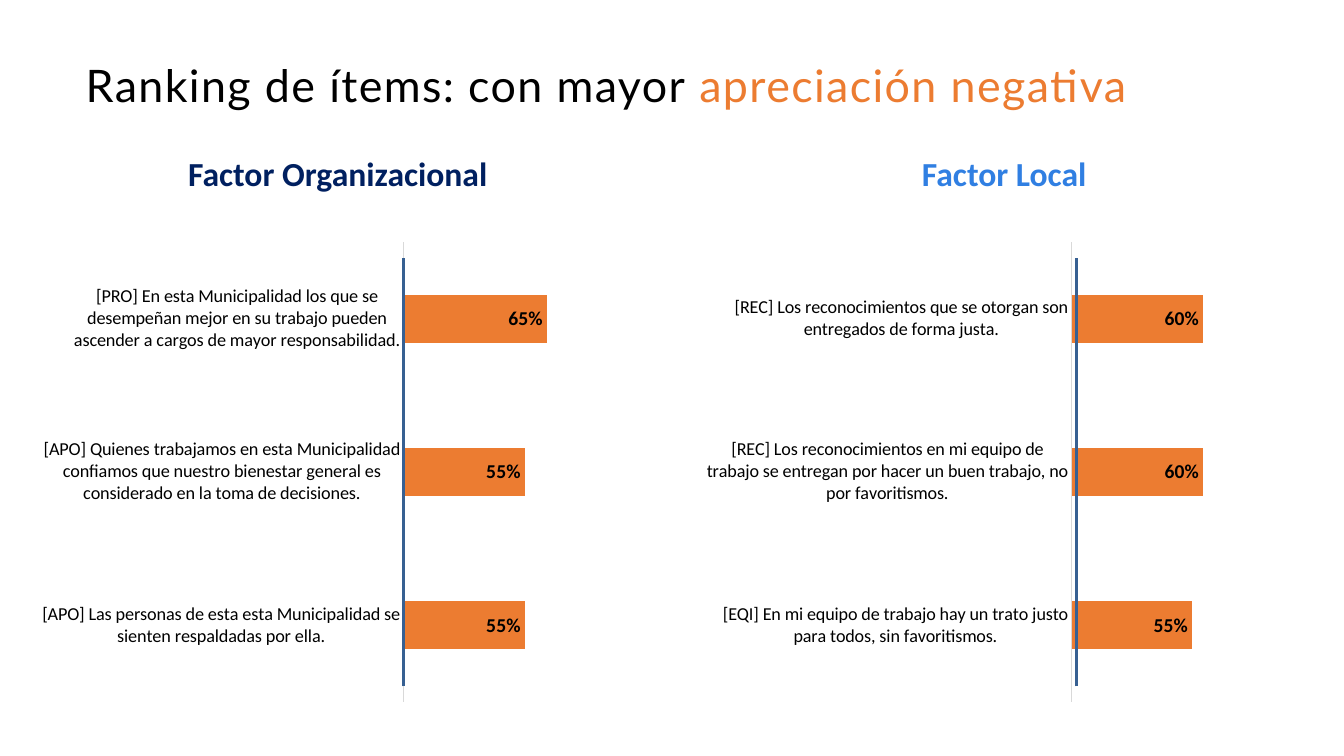
from dataclasses import dataclass

from lxml import etree
from pptx import Presentation
from pptx.chart.data import CategoryChartData
from pptx.dml.color import RGBColor
from pptx.enum.chart import XL_CHART_TYPE as ChartType
from pptx.enum.chart import XL_LABEL_POSITION as LabelPosition
from pptx.enum.chart import XL_TICK_LABEL_POSITION as TickLabelPosition
from pptx.enum.chart import XL_TICK_MARK as TickMark
from pptx.enum.shapes import MSO_CONNECTOR as Connector
from pptx.enum.text import MSO_ANCHOR as Anchor
from pptx.enum.text import MSO_AUTO_SIZE as AutoSize
from pptx.enum.text import PP_ALIGN as Align
from pptx.oxml import parse_xml
from pptx.oxml.ns import nsdecls, qn
from pptx.util import Inches, Pt


@dataclass(frozen=True)
class Theme:
    """Colours, fonts and type sizes of the slide."""
    black: str = "000000"
    orange: str = "EC7C31"
    navy: str = "002060"
    blue: str = "307FE2"
    axis: str = "D9D9D9"
    divider: str = "376092"
    title_font: str = "Lato"
    body_font: str = "Calibri"
    title_size: int = 32
    heading_size: int = 24
    value_size: int = 14
    category_size: int = 13
    chart_size: int = 10


THEME = Theme()

FACTORS = [
    {
        "heading": "Factor Organizacional",
        "color": THEME.navy,
        "heading_left": 0.83,
        "chart_left": 0.4,
        "divider_x": 4,
        "items": [
            ("[APO] Las personas de esta esta Municipalidad se sienten "
             "respaldadas por ella.", 0.55),
            ("[APO] Quienes trabajamos en esta Municipalidad confiamos que "
             "nuestro bienestar general es considerado en la toma de "
             "decisiones.", 0.55),
            ("[PRO] En esta Municipalidad los que se desempeñan mejor en su "
             "trabajo pueden ascender a cargos de mayor responsabilidad.", 0.65),
        ],
    },
    {
        "heading": "Factor Local",
        "color": THEME.blue,
        "heading_left": 7.44,
        "chart_left": 7.01,
        "divider_x": 10.68,
        "items": [
            ("[EQI] En mi equipo de trabajo hay un trato justo para todos, "
             "sin favoritismos.", 0.55),
            ("[REC] Los reconocimientos en mi equipo de trabajo se entregan "
             "por hacer un buen trabajo, no por favoritismos.", 0.6),
            ("[REC] Los reconocimientos que se otorgan son entregados de "
             "forma justa.", 0.6),
        ],
    },
]


def style_font(font, name, size, color, bold=False):
    """Set the face, size, colour and weight of a font."""
    font.name = name
    font.size = Pt(size)
    font.bold = bold
    font.color.rgb = RGBColor.from_string(color)


def add_run(paragraph, text, *style, **options):
    """Append one styled run to a paragraph."""
    run = paragraph.add_run()
    run.text = text
    style_font(run.font, *style, **options)
    return run


def place_title(slide, parts):
    """Position the title and fill it with coloured, letter-spaced parts."""
    title = slide.shapes.title
    title.left, title.top = Inches(0.85), Inches(0.34)
    title.width, title.height = Inches(11.78), Inches(1.06)
    frame = title.text_frame
    frame.word_wrap = True
    frame.auto_size = AutoSize.NONE
    frame.vertical_anchor = Anchor.MIDDLE
    frame.margin_left = frame.margin_right = 0
    frame.margin_top = frame.margin_bottom = 0
    paragraph = frame.paragraphs[0]
    paragraph.alignment = Align.LEFT
    paragraph.line_spacing = 0.9
    for text, color in parts:
        run = add_run(paragraph, text, THEME.title_font, THEME.title_size, color)
        run.font._element.set("spc", "100")


def add_heading(slide, text, color, left):
    """Add the centred heading above a chart."""
    box = slide.shapes.add_textbox(
        Inches(left), Inches(1.58), Inches(5.04), Inches(0.33))
    frame = box.text_frame
    frame.word_wrap = True
    frame.vertical_anchor = Anchor.MIDDLE
    paragraph = frame.paragraphs[0]
    paragraph.alignment = Align.CENTER
    paragraph.line_spacing = 0.9
    add_run(paragraph, text, THEME.body_font, THEME.heading_size, color, bold=True)


def fix_plot_area(chart, x, y, width, height):
    """Pin the inner plot area to fractions of the chart frame."""
    plot_area = chart.element.find(".//" + qn("c:plotArea"))
    for layout in plot_area.findall(qn("c:layout")):
        plot_area.remove(layout)
    layout = parse_xml(
        f'<c:layout {nsdecls("c")}><c:manualLayout/></c:layout>')
    settings = {"layoutTarget": "inner", "xMode": "edge", "yMode": "edge",
                "x": x, "y": y, "w": width, "h": height}
    for tag, value in settings.items():
        etree.SubElement(layout[0], qn(f"c:{tag}")).set("val", str(value))
    plot_area.insert(0, layout)


def style_axes(chart):
    """Show only the category axis and hide the percentage scale."""
    category_axis = chart.category_axis
    category_axis.has_major_gridlines = False
    category_axis.major_tick_mark = category_axis.minor_tick_mark = TickMark.NONE
    category_axis.tick_label_position = TickLabelPosition.NEXT_TO_AXIS
    category_axis.format.line.color.rgb = RGBColor.from_string(THEME.axis)
    category_axis.format.line.width = Pt(0.75)
    style_font(category_axis.tick_labels.font, THEME.body_font,
               THEME.category_size, THEME.black)
    value_axis = chart.value_axis
    value_axis.has_major_gridlines = False
    value_axis.minimum_scale, value_axis.maximum_scale = 0, 1
    value_axis.visible = False


def add_ranking_chart(slide, items, left):
    """Add a bar chart of items with their share of negative answers."""
    data = CategoryChartData(number_format="0%")
    data.categories = [label for label, _ in items]
    data.add_series("Series 1", [value for _, value in items])
    chart = slide.shapes.add_chart(
        ChartType.BAR_CLUSTERED, Inches(left), Inches(2.31),
        Inches(5.91), Inches(4.75), data).chart
    chart.has_title = chart.has_legend = False
    style_font(chart.font, THEME.body_font, THEME.chart_size, THEME.black)
    style_axes(chart)
    fix_plot_area(chart, 0.61, 0.02, 0.37, 0.96)
    plot = chart.plots[0]
    plot.gap_width = 219
    plot.vary_by_categories = False
    fill = plot.series[0].format.fill
    fill.solid()
    fill.fore_color.rgb = RGBColor.from_string(THEME.orange)
    plot.has_data_labels = True
    labels = plot.data_labels
    labels.show_value = True
    labels.position = LabelPosition.INSIDE_END
    labels.number_format, labels.number_format_is_linked = "0%", False
    style_font(labels.font, THEME.body_font, THEME.value_size, THEME.black, bold=True)


def add_divider(slide, x):
    """Add the vertical line beside the start of the bars."""
    line = slide.shapes.add_connector(
        Connector.STRAIGHT, Inches(x), Inches(6.81), Inches(x), Inches(2.56))
    line.line.color.rgb = RGBColor.from_string(THEME.divider)
    line.line.width = Pt(2)
    etree.SubElement(line.element.spPr, qn("a:effectLst"))


def main():
    """Build the ranking slide and save it."""
    presentation = Presentation()
    presentation.slide_width, presentation.slide_height = Inches(13.33), Inches(7.5)
    slide = presentation.slides.add_slide(presentation.slide_layouts[5])
    place_title(slide, [("Ranking de ítems: con mayor ", THEME.black),
                        ("apreciación negativa", THEME.orange)])
    for factor in FACTORS:
        add_heading(slide, factor["heading"], factor["color"], factor["heading_left"])
        add_ranking_chart(slide, factor["items"], factor["chart_left"])
        add_divider(slide, factor["divider_x"])
    presentation.save("out.pptx")


if __name__ == "__main__":
    main()
